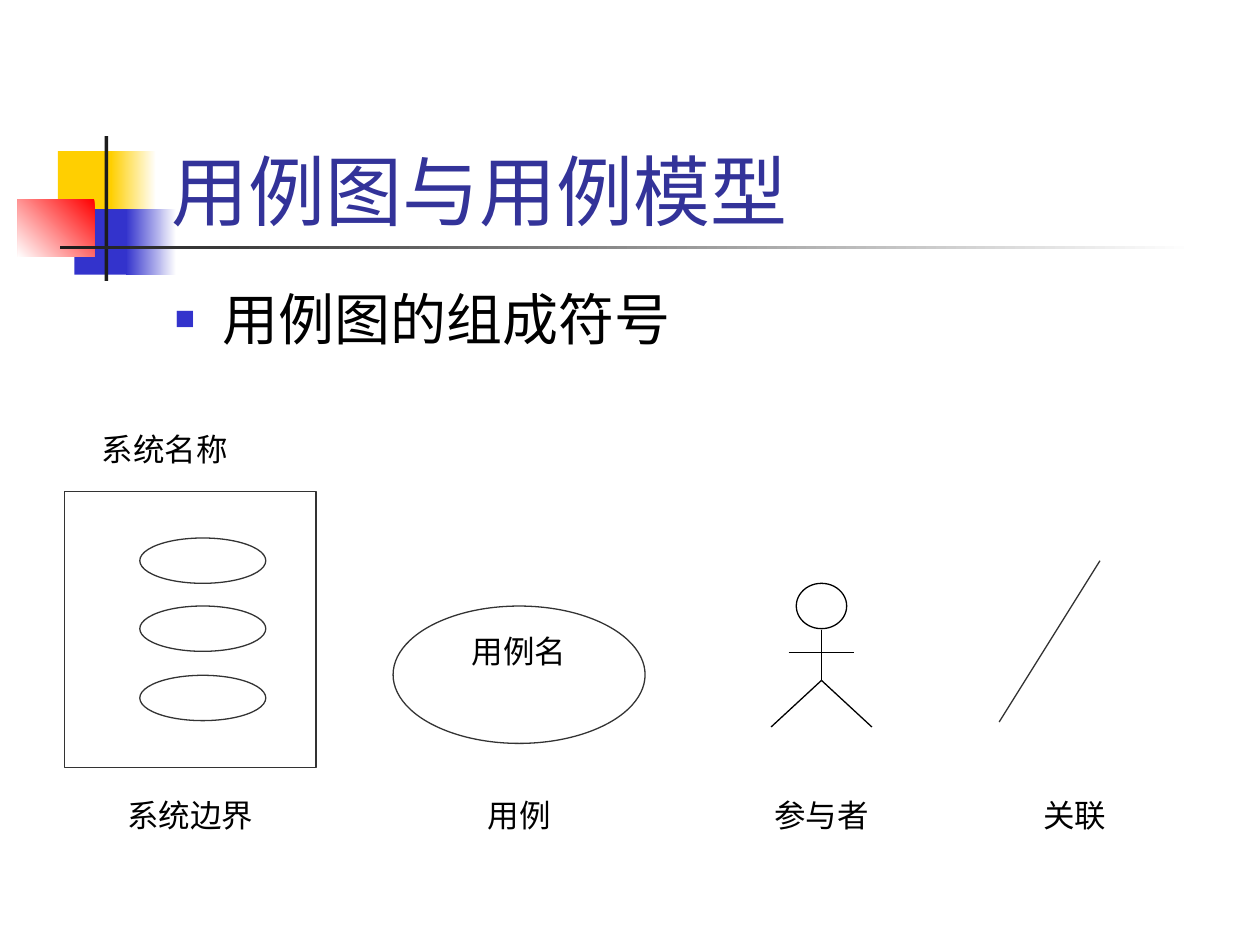
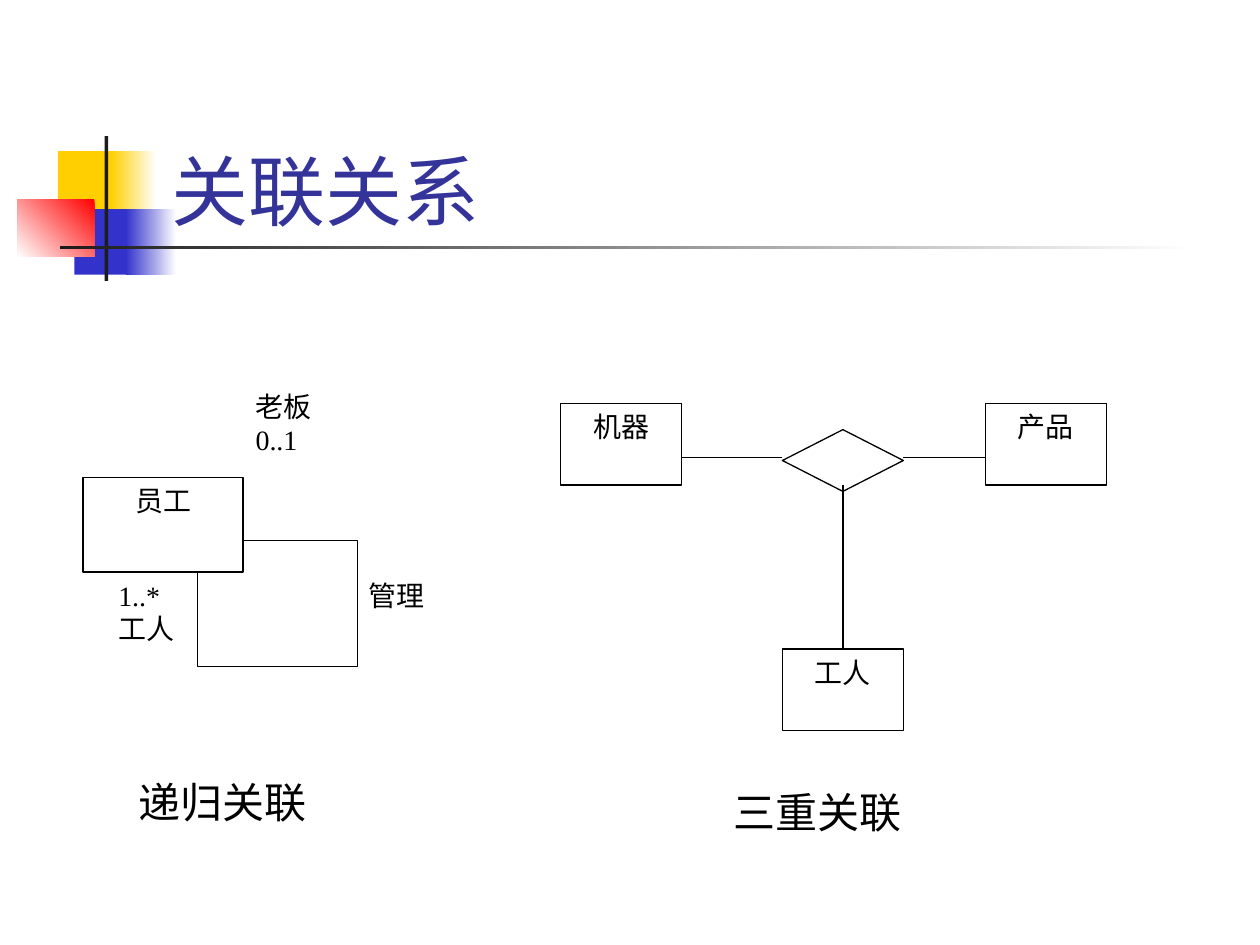
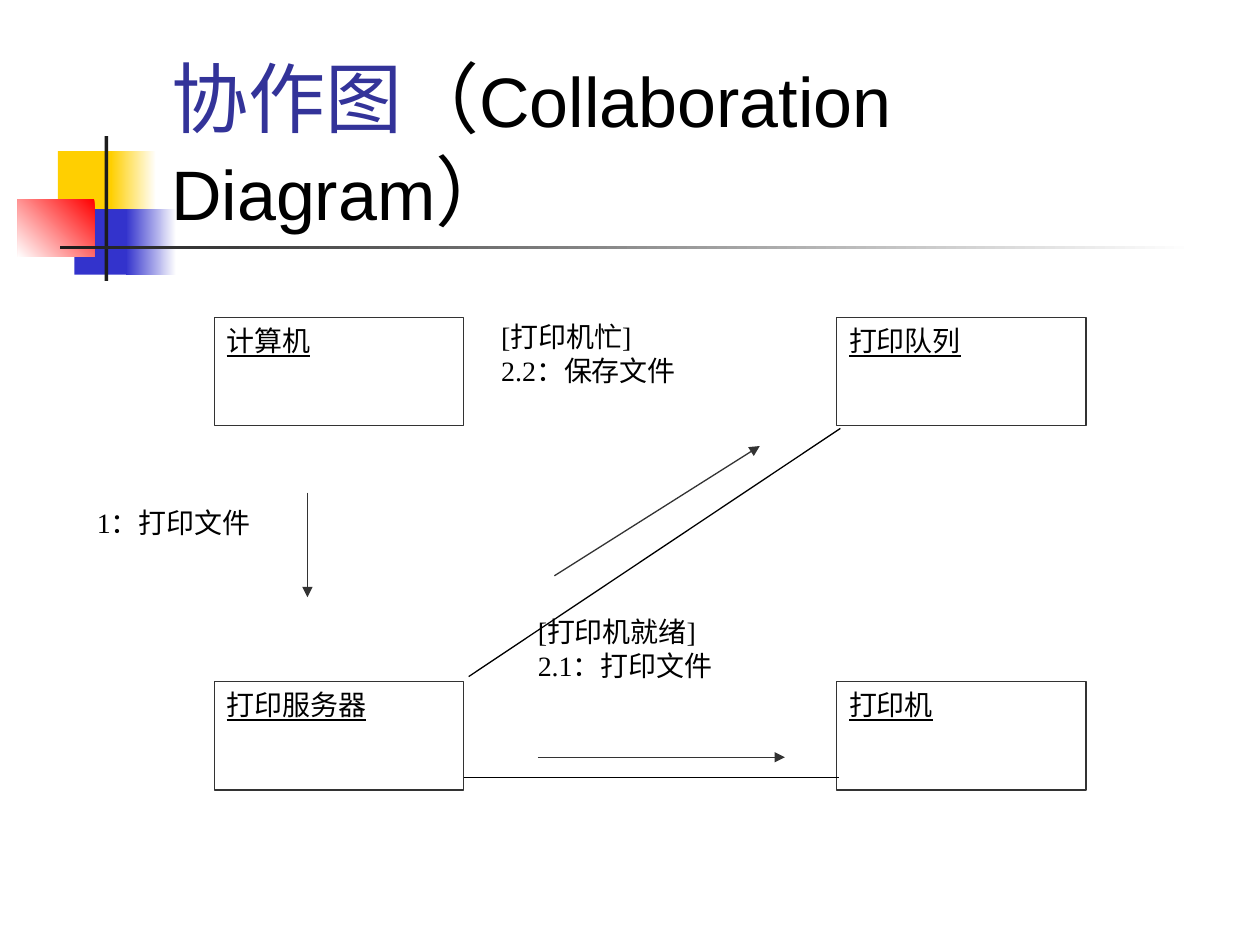
from lxml import etree
from pptx import Presentation
from pptx.dml.color import RGBColor
from pptx.enum.shapes import MSO_CONNECTOR, MSO_SHAPE
from pptx.enum.text import MSO_ANCHOR, PP_ALIGN
from pptx.oxml.ns import qn
from pptx.util import Pt

PX = 9144
INK = {
    "white": "FFFFFF", "black": "000000", "gray": "333333", "dark": "1C1C1C",
    "title": "333399", "blue": "3333CC", "gold": "FFCF01", "red": "FF0000",
}
SANS, HEAD, BODY = "Arial", "Karla", "Times New Roman"
LEFT, MID, JUST = PP_ALIGN.LEFT, PP_ALIGN.CENTER, PP_ALIGN.JUSTIFY
RECT, OVAL, GEM = MSO_SHAPE.RECTANGLE, MSO_SHAPE.OVAL, MSO_SHAPE.DIAMOND


def tint(name):
    return RGBColor.from_string(INK[name])


def place(box, part):
    return [n * PX for n in (box[0] + part[0], box[1] + part[1], *part[2:])]


def write(shape, text, font=BODY, size=16, color="black", align=JUST,
          under=False, anchor=MSO_ANCHOR.TOP):
    frame = shape.text_frame
    frame.word_wrap = True
    frame.vertical_anchor = anchor
    lines = text.split("\n") if isinstance(text, str) else [text]
    for i, line in enumerate(lines):
        para = frame.add_paragraph() if i else frame.paragraphs[0]
        para.alignment = align
        runs = [(line, size, color)] if isinstance(line, str) else line
        for words, points, name in runs:
            run = para.add_run()
            run.text = words
            run.font.name = font
            run.font.size = Pt(points)
            run.font.color.rgb = tint(name)
            run.font.underline = under or None
    return frame


def draw(slide, box, part, kind=RECT, fill="white", line=None, text=None, **style):
    shape = slide.shapes.add_shape(kind, *place(box, part))
    shape.shadow.inherit = False
    shape.fill.solid()
    shape.fill.fore_color.rgb = tint(fill)
    if line:
        shape.line.color.rgb = tint(line)
        shape.line.width = Pt(0.75)
    else:
        shape.line.fill.background()
    if text:
        write(shape, text, **style)
    return shape


def fade(slide, box, part, first, last, angle=180):
    fill = draw(slide, box, part).fill
    fill.gradient()
    fill.gradient_angle = angle
    for stop, name in zip(fill.gradient_stops, (first, last)):
        stop.color.rgb = tint(name)


def note(slide, box, part, text, **style):
    return write(slide.shapes.add_textbox(*place(box, part)), text, **style)


def join(slide, box, ends, color="black", arrow=False):
    start, stop = place(box, ends[:2]), place(box, ends[2:])
    wire = slide.shapes.add_connector(MSO_CONNECTOR.STRAIGHT, *start, *stop)
    wire.line.color.rgb = tint(color)
    wire.line.width = Pt(0.75)
    if arrow:
        tip = etree.SubElement(wire.line._get_or_add_ln(), qn("a:tailEnd"))
        tip.set("type", "triangle")
    etree.SubElement(wire._element.spPr, qn("a:effectLst"))
    return wire


def mark(slide, box):
    draw(slide, box, (32, 12, 48, 52), fill="gold")
    fade(slide, box, (74, 12, 36, 52), "white", "gold")
    draw(slide, box, (45, 58, 46, 52), fill="blue")
    fade(slide, box, (86, 58, 40, 52), "white", "blue")
    fade(slide, box, (0, 50, 61, 46), "red", "white", angle=225)
    draw(slide, box, (69, 0, 3, 115), fill="dark")
    fade(slide, box, (34, 87, 900, 3), "white", "dark")


def start(deck, title, font=HEAD):
    slide = deck.slides.add_slide(deck.slide_layouts[6])
    mark(slide, (14, 108))
    note(slide, (126, 67), (0, 0, 852, 125), title, font=font, size=44,
         color="title", align=LEFT, anchor=MSO_ANCHOR.BOTTOM)
    return slide


def point(slide, box, text):
    frame = note(slide, box, (0, 0, 850, 76), text, font=HEAD, size=32, align=LEFT)
    props = frame.paragraphs[0]._p.get_or_add_pPr()
    props.set("marL", str(38 * PX))
    props.set("indent", str(-38 * PX))
    hue = etree.SubElement(props, qn("a:buClr"))
    etree.SubElement(hue, qn("a:srgbClr")).set("val", INK["blue"])
    etree.SubElement(props, qn("a:buSzPct")).set("val", "60000")
    etree.SubElement(props, qn("a:buFont")).set("typeface", SANS)
    etree.SubElement(props, qn("a:buChar")).set("char", "■")


def bound(slide, box):
    draw(slide, box, (20, 0, 160, 55), text="系统名称", size=18)
    draw(slide, box, (0, 54, 200, 219), line="gray")
    for i in range(3):
        draw(slide, box, (60, 91 + 109 * i // 2, 100, 36), OVAL, line="gray")


def case(slide, box):
    draw(slide, box, (0, 145, 200, 109), OVAL, line="gray", text="用例名",
         size=18, align=MID)


def actor(slide, box):
    draw(slide, box, (80, 127, 40, 36), OVAL, line="black")
    for ends in ((74, 182, 126, 182), (100, 164, 100, 204),
                 (100, 204, 60, 241), (100, 204, 140, 241)):
        join(slide, box, ends)


def link(slide, box):
    join(slide, box, (40, 237, 120, 109), color="gray")


def loop(slide, box):
    draw(slide, box, (18, 150, 91, 125), text="1..*\n工人")
    draw(slide, box, (217, 150, 91, 75), text="管理")
    draw(slide, box, (127, 0, 91, 125), text="老板\n0..1")
    draw(slide, box, (91, 125, 127, 100), line="black")
    draw(slide, box, (0, 75, 127, 75), line="black", text="员工", align=MID)
    note(slide, box, (34, 307, 161, 50), "递归关联", font=HEAD, size=24, align=LEFT)


def triple(slide, box):
    nodes = {}
    for text, x, y in (("机器", 0, 0), ("工人", 176, 195), ("产品", 337, 0)):
        nodes[text] = draw(slide, box, (x, y, 96, 65), line="black",
                           text=text, align=MID)
    draw(slide, box, (176, 21, 96, 49), GEM, line="black")
    join(slide, box, (96, 43, 176, 43))
    join(slide, box, (272, 43, 337, 43))
    join(slide, box, (224, 65, 224, 195)).end_connect(nodes["工人"], 0)
    note(slide, box, (127, 299, 161, 50), "三重关联", font=HEAD, size=24, align=LEFT)


def collab(slide, box):
    draw(slide, box, (321, 0, 223, 144), text="[打印机忙]\n2.2：保存文件")
    draw(slide, box, (350, 234, 223, 144), text="[打印机就绪]\n2.1：打印文件")
    draw(slide, box, (0, 147, 202, 86), text="1：打印文件")
    grid = (("计算机", "打印队列"), ("打印服务器", "打印机"))
    for row, names in enumerate(grid):
        for col, name in enumerate(names):
            draw(slide, box, (103 + 494 * col, 3 + 289 * row, 198, 86),
                 line="gray", text=name, under=True)
    for ends in ((177, 142, 177, 225), (360, 352, 556, 352), (373, 208, 536, 105)):
        join(slide, box, ends, color="gray", arrow=True)
    join(slide, box, (305, 288, 600, 91))
    join(slide, box, (301, 368, 599, 368))


def main():
    deck = Presentation()
    deck.slide_width, deck.slide_height = 1000 * PX, 750 * PX

    slide = start(deck, "用例图与用例模型")
    point(slide, (129, 221), "用例图的组成符号")
    signs = ((bound, 51, "系统边界"), (case, 312, "用例"),
             (actor, 552, "参与者"), (link, 753, "关联"))
    for sign, x, name in signs:
        box = (x, 336)
        sign(slide, box)
        draw(slide, box, (20, 291, 160, 55), text=name, size=18, align=MID)

    slide = start(deck, "关联关系")
    loop(slide, (66, 304))
    triple(slide, (445, 320))

    title = [("协作图", 44, "title"), ("（", 44, "black"),
             ("Collaboration Diagram", 40, "black"), ("）", 44, "black")]
    slide = start(deck, title, font=SANS)
    collab(slide, (67, 249))

    deck.save("out.pptx")


if __name__ == "__main__":
    main()
